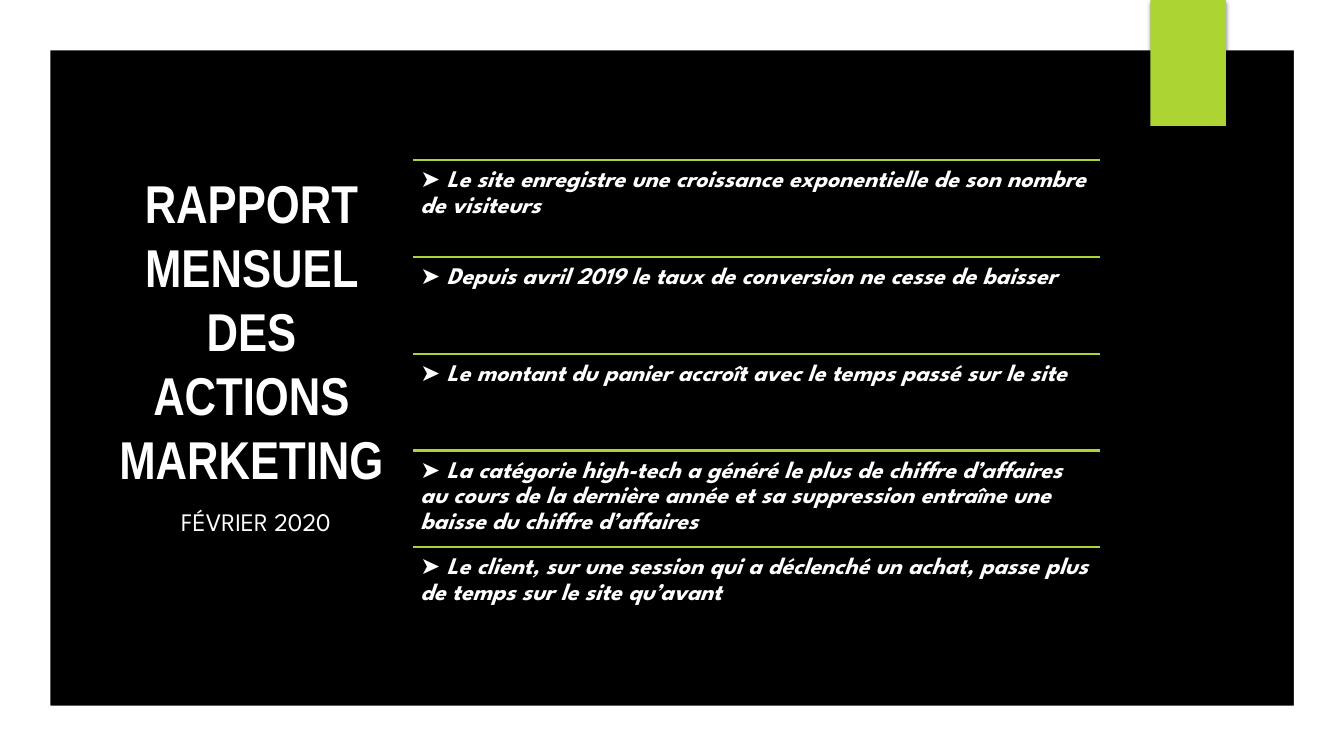
from dataclasses import dataclass

from lxml import etree
from pptx import Presentation
from pptx import util as u
from pptx.dml.color import RGBColor
from pptx.enum import shapes, text
from pptx.oxml import ns

FINDINGS = [
    "Le site enregistre une croissance exponentielle de son nombre de visiteurs",
    "Depuis avril 2019 le taux de conversion ne cesse de baisser",
    "Le montant du panier accroît avec le temps passé sur le site",
    "La catégorie high-tech a généré le plus de chiffre d’affaires au cours de la dernière année "
    "et sa suppression entraîne une baisse du chiffre d’affaires",
    "Le client, sur une session qui a déclenché un achat, passe plus de temps sur le site qu’avant",
]


@dataclass(frozen=True)
class Theme:
    black: RGBColor = RGBColor.from_string("000000")
    white: RGBColor = RGBColor.from_string("FFFFFF")
    green: RGBColor = RGBColor.from_string("ACD433")
    title_font: str = "Arial Narrow"
    body_font: str = "League Spartan"
    title_size: int = 38
    date_size: int = 18
    finding_size: int = 17
    rule_width: float = 1.5


class SlideBuilder:
    COLUMNS, ROWS = 160, 90

    def __init__(self, presentation, theme):
        self.theme = theme
        self.cell = u.Inches(7.5) / self.ROWS
        presentation.slide_width = u.Inches(13.33)
        presentation.slide_height = u.Inches(7.5)
        self.slide = presentation.slides.add_slide(presentation.slide_layouts[6])
        self.fill(self.slide.background, theme.black)

    def grid(self, *values):
        return [u.Emu(round(value * self.cell)) for value in values]

    def fill(self, target, color):
        target.fill.solid()
        target.fill.fore_color.rgb = color

    def paint(self, shape, color):
        shape.shadow.inherit = False
        self.fill(shape, color)
        shape.line.fill.background()
        return shape

    def block(self, color, *box):
        shape = self.slide.shapes.add_shape(shapes.MSO_SHAPE.RECTANGLE, *self.grid(*box))
        return self.paint(shape, color)

    def frame(self, color, margin):
        right, bottom = self.COLUMNS - margin, self.ROWS - margin
        outline = self.slide.shapes.build_freeform(0, 0, scale=self.cell)
        outline.add_line_segments([(0, self.ROWS), (self.COLUMNS, self.ROWS), (self.COLUMNS, 0)])
        outline.move_to(right, bottom)
        outline.add_line_segments([(margin, bottom), (margin, margin), (right, margin)])
        return self.paint(outline.convert_to_shape(), color)

    def shadow(self, shape, blur, distance, alpha):
        effects = shape._element.spPr.find(ns.qn("a:effectLst"))
        outer = etree.SubElement(effects, ns.qn("a:outerShdw"), blurRad=str(u.Pt(blur)),
                                 dist=str(u.Pt(distance)), dir="5400000", rotWithShape="0")
        color = etree.SubElement(outer, ns.qn("a:srgbClr"), val=str(self.theme.black))
        etree.SubElement(color, ns.qn("a:alpha"), val=str(alpha * 1000))

    def rule(self, left, top, width):
        line = self.slide.shapes.add_connector(
            shapes.MSO_CONNECTOR.STRAIGHT, *self.grid(left, top, left + width, top))
        line.line.color.rgb = self.theme.green
        line.line.width = u.Pt(self.theme.rule_width)
        etree.SubElement(line._element.spPr, ns.qn("a:effectLst"))

    def text(self, words, box, font, frame=None, paragraph=None):
        text_frame = self.slide.shapes.add_textbox(*self.grid(*box)).text_frame
        first = text_frame.paragraphs[0]
        run = first.add_run()
        run.text = words
        run.font.color.rgb = self.theme.white
        formats = [(text_frame, {"word_wrap": True, **(frame or {})}),
                   (first, paragraph or {}), (run.font, font)]
        for target, values in formats:
            for name, value in values.items():
                setattr(target, name, value)


def main():
    presentation = Presentation()
    theme = Theme()
    builder = SlideBuilder(presentation, theme)
    centered = {"alignment": text.PP_ALIGN.CENTER}

    builder.block(theme.black, 0, 0, builder.COLUMNS, builder.ROWS)
    builder.frame(theme.white, margin=6.2)
    builder.text("RAPPORT MENSUEL DES ACTIONS MARKETING", (12.72, 18.96, 34.44, 40.68),
                 {"name": theme.title_font, "size": u.Pt(theme.title_size), "bold": True},
                 {"vertical_anchor": text.MSO_ANCHOR.MIDDLE}, centered)
    tab = builder.block(theme.green, 136.92, 0, 9, 15)
    builder.shadow(tab, blur=3, distance=2, alpha=45)
    builder.text("FÉVRIER 2020", (12.72, 59.64, 35.52, 4.8),
                 {"name": theme.body_font, "size": u.Pt(theme.date_size)}, paragraph=centered)

    left, first_row, width, pitch = 49.2, 19.08, 81.72, 11.52
    sides = ("left", "top", "right", "bottom")
    insets = {f"margin_{side}": u.Inches(0.07) for side in sides}
    finding_font = {"name": theme.body_font, "size": u.Pt(theme.finding_size),
                    "bold": True, "italic": True}
    for index, finding in enumerate(FINDINGS):
        top = first_row + index * pitch
        builder.rule(left, top, width)
        builder.text(f"➤ {finding}", (left, top, width, pitch), finding_font, insets,
                     {"line_spacing": 0.9})

    presentation.save("out.pptx")


if __name__ == "__main__":
    main()
